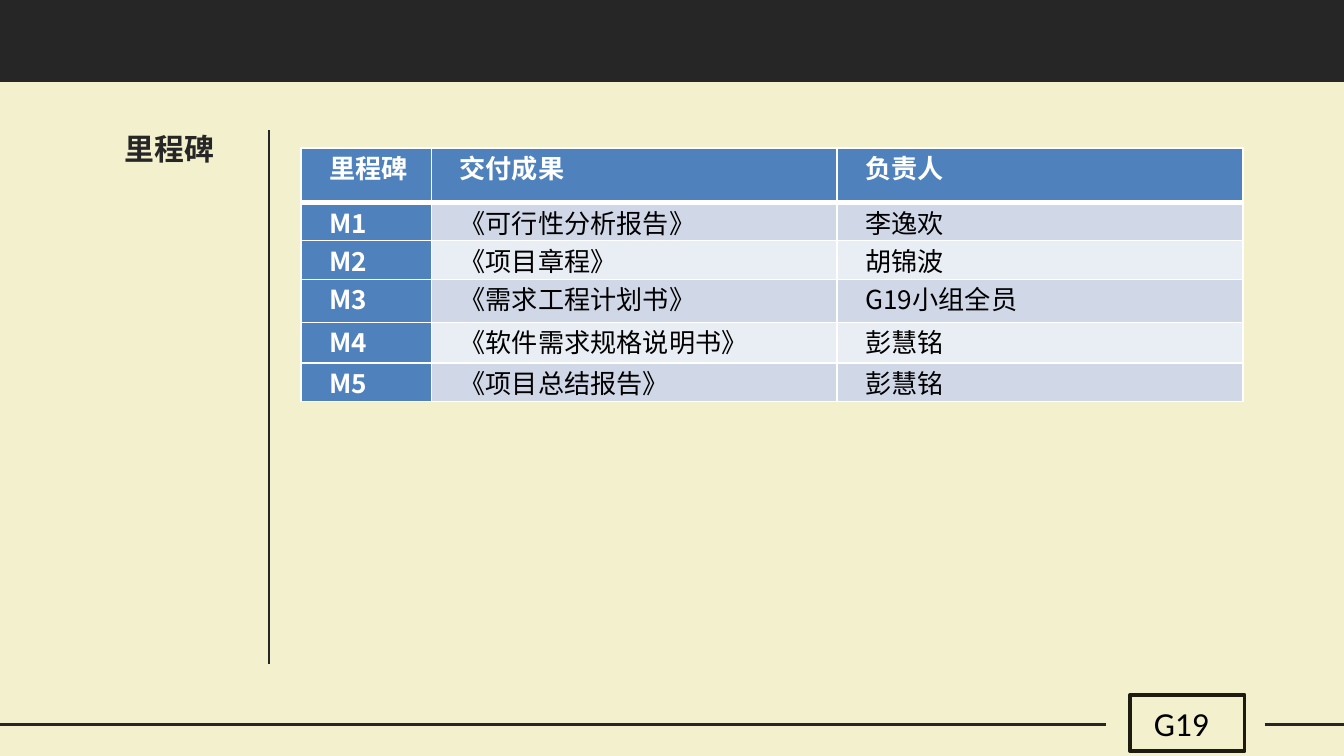
from pptx import Presentation
from pptx.dml.color import RGBColor
from pptx.enum.shapes import MSO_CONNECTOR as CONN, MSO_SHAPE as SHAPE
from pptx.enum.text import PP_ALIGN as ALIGN
from pptx.oxml.ns import qn
from pptx.util import Inches, Pt
from lxml.etree import SubElement

CJK = "Noto Sans CJK SC"
DARK, BLUE, WHITE, BLACK = "262626", "4F81BD", "FFFFFF", "000000"
BANDS = ["D0D8E8", "E9EDF4"]
WIDTH = 10
HEIGHT = WIDTH * 9 / 16
ROWS = [
    ("里程碑", "交付成果", "负责人"),
    ("M1", "《可行性分析报告》", "李逸欢"),
    ("M2", "《项目章程》", "胡锦波"),
    ("M3", "《需求工程计划书》", "G19小组全员"),
    ("M4", "《软件需求规格说明书》", "彭慧铭"),
    ("M5", "《项目总结报告》", "彭慧铭"),
]
COL_WIDTHS = [0.97, 3.02, 3.02]
ROW_HEIGHTS = [0.41, 0.28, 0.29, 0.32, 0.3, 0.29]
LINES = [
    (0, 5.39, 8.23, 5.39, 1.75),
    (9.41, 5.39, WIDTH, 5.39, 1.75),
    (2, 0.97, 2, 4.94, 1.25),
]


def rgb(color):
    return RGBColor.from_string(color)


def add_run(p, text, size, font, color, bold=False):
    r = p.add_run()
    r.text = text
    r.font.size, r.font.name, r.font.bold = Pt(size), font, bold
    r.font.color.rgb = rgb(color)
    SubElement(r.font._element, qn("a:ea"), typeface=font)


def add_rect(s, x, y, w, h):
    sp = s.shapes.add_shape(SHAPE.RECTANGLE, Inches(x), Inches(y), Inches(w), Inches(h))
    sp.shadow.inherit = False
    return sp


def add_line(s, x1, y1, x2, y2, width):
    line = s.shapes.add_connector(CONN.STRAIGHT, Inches(x1), Inches(y1), Inches(x2), Inches(y2))
    line.line.color.rgb = rgb(DARK)
    line.line.width = Pt(width)
    SubElement(line._element.spPr, qn("a:effectLst"))


def add_text(s, x, y, w, h, wrap, align, *run):
    tf = s.shapes.add_textbox(Inches(x), Inches(y), Inches(w), Inches(h)).text_frame
    tf.word_wrap = wrap
    p = tf.paragraphs[0]
    p.alignment = align
    add_run(p, *run)


def set_borders(cell, top, bottom):
    tc_pr = cell._tc.get_or_add_tcPr()
    for side, width in (("L", 1), ("R", 1), ("T", top), ("B", bottom)):
        ln = SubElement(tc_pr, qn(f"a:ln{side}"), w=str(Pt(width)))
        SubElement(SubElement(ln, qn("a:solidFill")), qn("a:srgbClr"), val=WHITE)


def fill_cell(cell, text, row, col):
    label = row == 0 or col == 0
    cell.margin_left = cell.margin_right = Inches(0.07)
    cell.margin_top = cell.margin_bottom = 0
    set_borders(cell, 3 if row == 1 else 1, 3 if row == 0 else 1)
    cell.fill.solid()
    cell.fill.fore_color.rgb = rgb(BLUE if label else BANDS[(row - 1) % 2])
    p = cell.text_frame.paragraphs[0]
    p.alignment = ALIGN.JUSTIFY
    p._p.get_or_add_pPr().set("indent", str(Inches(0.14)))
    add_run(p, text, 14, CJK, WHITE if label else BLACK, label)


def add_milestones(s, x, y):
    frame = s.shapes.add_table(len(ROWS), len(COL_WIDTHS), Inches(x), Inches(y),
                               Inches(sum(COL_WIDTHS)), Inches(sum(ROW_HEIGHTS)))
    table = frame.table
    for col, width in zip(table.columns, COL_WIDTHS):
        col.width = Inches(width)
    for row, height in zip(table.rows, ROW_HEIGHTS):
        row.height = Inches(height)
    for i, texts in enumerate(ROWS):
        for j, text in enumerate(texts):
            fill_cell(table.cell(i, j), text, i, j)


def main():
    prs = Presentation()
    prs.slide_width, prs.slide_height = Inches(WIDTH), Inches(HEIGHT)
    s = prs.slides.add_slide(prs.slide_layouts[6])
    s.background.fill.solid()
    s.background.fill.fore_color.rgb = rgb("F3F0CD")

    banner = add_rect(s, 0, 0, WIDTH, 0.61)
    banner.fill.solid()
    banner.fill.fore_color.rgb = rgb(DARK)
    banner.line.fill.background()
    for line in LINES:
        add_line(s, *line)
    add_text(s, 0.59, 0.92, 1.34, 0.37, True, ALIGN.CENTER, "里程碑", 16, CJK, DARK, True)

    badge = add_rect(s, 8.41, 5.17, 0.85, 0.42)
    badge.fill.background()
    badge.line.color.rgb = rgb("1E1C11")
    badge.line.width = Pt(2)
    add_text(s, 8.43, 5.18, 0.68, 0.4, False, ALIGN.LEFT, " G19", 18, "Calibri", BLACK)
    add_milestones(s, 2.24, 1.1)
    prs.save("out.pptx")


if __name__ == "__main__":
    main()
